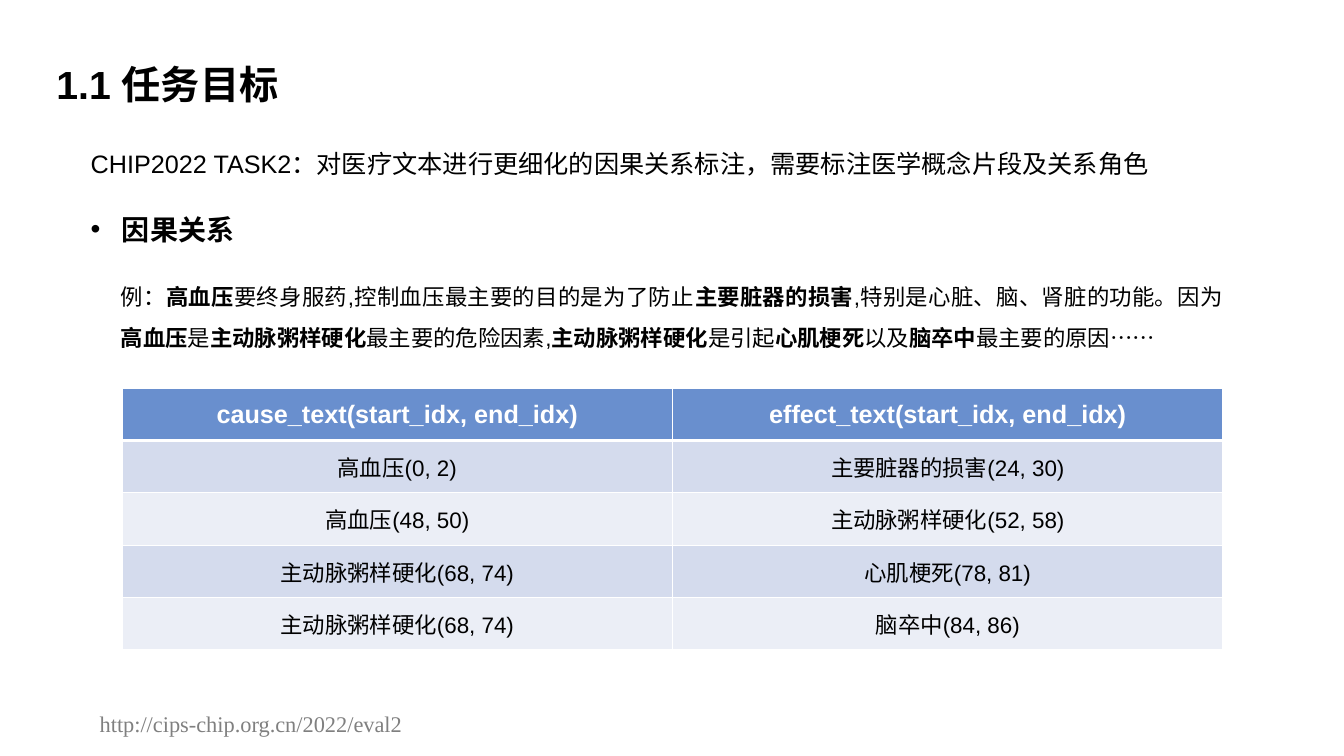
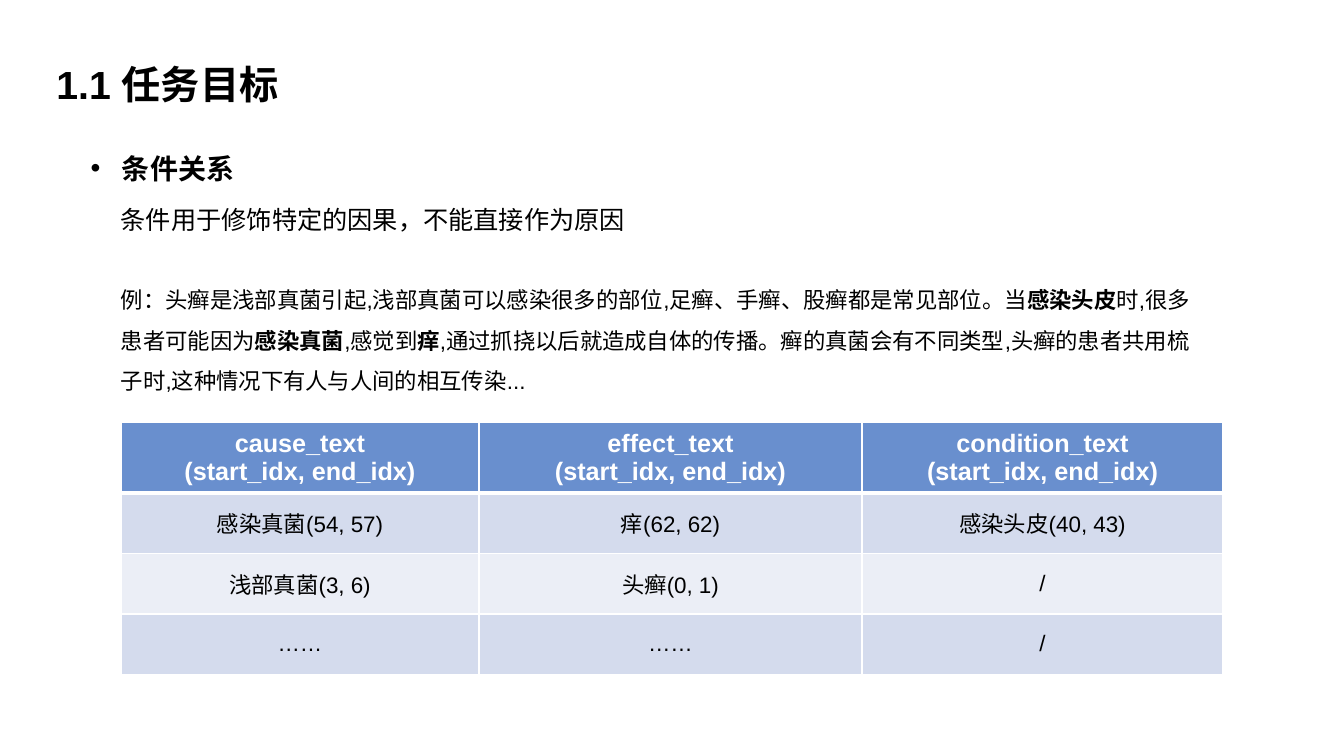
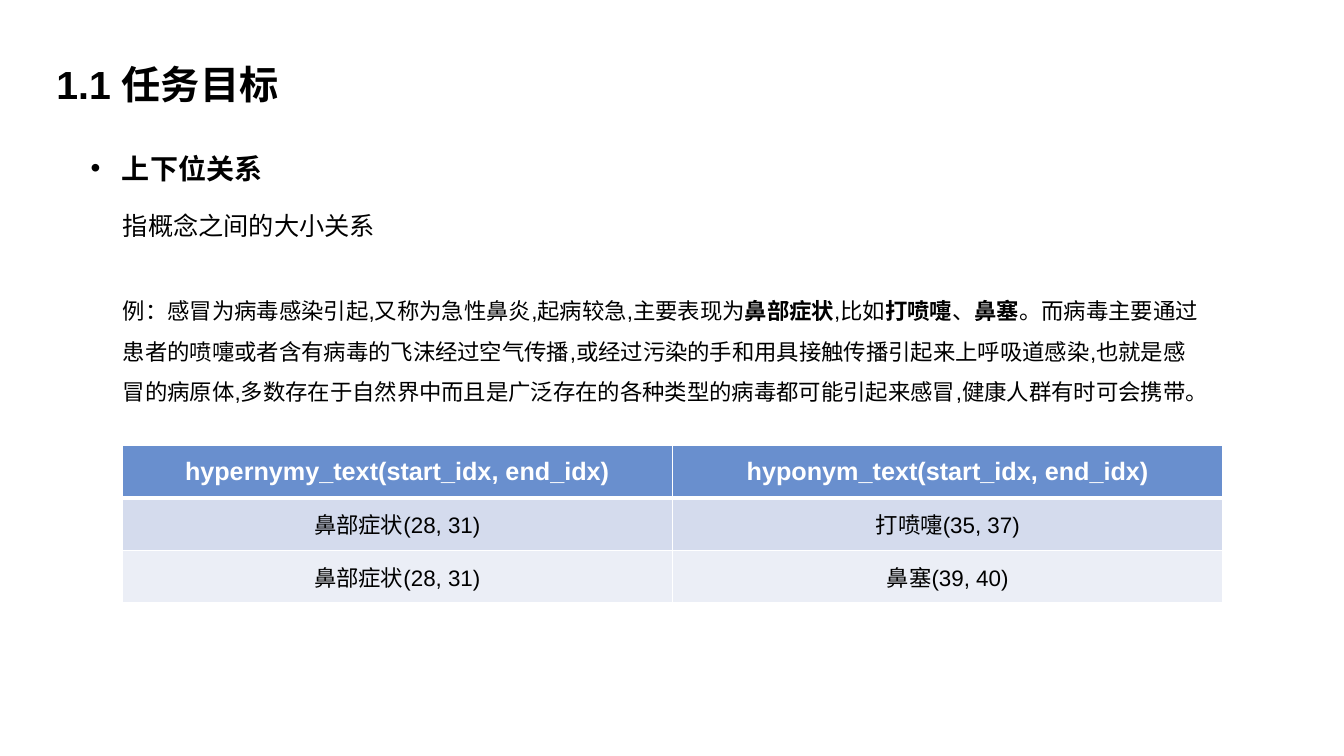
from dataclasses import dataclass

from pptx import Presentation
from pptx.dml.color import RGBColor as Rgb
from pptx.enum.lang import MSO_LANGUAGE_ID as Lang
from pptx.enum.text import MSO_ANCHOR as Anchor, MSO_AUTO_SIZE as Fit, PP_ALIGN as Align
from pptx.oxml import parse_xml
from pptx.oxml.ns import nsdecls
from pptx.util import Inches, Pt


@dataclass(frozen=True)
class Theme:
    ink: str = "000000"
    white: str = "FFFFFF"
    gray: str = "808080"
    head: str = "698FCE"
    bands: tuple = ("D4DBED", "EBEEF6")
    sans: str = "Arial"
    serif: str = "Times New Roman"
    title: int = 28
    topic: int = 20
    lead: int = 18
    small: int = 16
    indent: float = 0.31
    rule: int = 1
    thick: int = 3


T = Theme()
TITLE = "1.1 任务目标"


def write(frame, text, size=T.small, color=T.ink, bold=False, font=T.sans,
          align=Align.LEFT, lines=1.0):
    """Add one paragraph per line of text; words between asterisks are bold."""
    for line in text.split("\n"):
        last = frame.paragraphs[-1]
        para = frame.add_paragraph() if last.runs else last
        para.alignment = align
        para.line_spacing = lines
        para.space_before = para.space_after = Pt(0)
        for i, part in enumerate(line.split("*")):
            if not part:
                continue
            run = para.add_run()
            run.text = part
            style = run.font
            style.name, style.size = font, Pt(size)
            style.bold = bold or i % 2 == 1
            style.color.rgb = Rgb.from_string(color)
            style.language_id = Lang.SIMPLIFIED_CHINESE
    return para


def bullet(para, sign=None):
    """Give a paragraph a hanging bullet, or none and no indent."""
    props = para._p.get_or_add_pPr()
    gap = Inches(T.indent) if sign else 0
    props.set("marL", str(gap))
    props.set("indent", str(-gap))
    if sign:
        props.append(parse_xml(f'<a:buFont {nsdecls("a")} typeface="{T.sans}"/>'))
        props.append(parse_xml(f'<a:buChar {nsdecls("a")} char="{sign}"/>'))
    else:
        props.append(parse_xml(f'<a:buNone {nsdecls("a")}/>'))


def place(shape, box):
    shape.left, shape.top, shape.width, shape.height = map(Inches, box)


def label(slide, box, text, anchor=Anchor.TOP, fit=Fit.NONE, **fmt):
    frame = slide.shapes.add_textbox(*map(Inches, box)).text_frame
    frame.word_wrap = True
    frame.auto_size = fit
    frame.vertical_anchor = anchor
    write(frame, text, **fmt)


def note(slide, box, text):
    label(slide, box, text, lines=1.5, size=T.lead, align=Align.JUSTIFY)


def sample(slide, box, text, align=Align.LEFT):
    label(slide, box, text, fit=Fit.SHAPE_TO_FIT_TEXT, lines=1.5, align=align)


def border(cell, base):
    props = cell._tc.get_or_add_tcPr()
    for side, width in zip("LRTB", (T.rule, T.rule, T.rule, base)):
        props.append(parse_xml(
            f'<a:ln{side} {nsdecls("a")} w="{Pt(width)}"><a:solidFill>'
            f'<a:srgbClr val="{T.white}"/></a:solidFill></a:ln{side}>'))


def grid(slide, spot, cols, rows, data):
    """Draw a table whose first row is the header, at spot (left, top)."""
    size = (sum(cols), sum(rows))
    table = slide.shapes.add_table(
        len(rows), len(cols), *map(Inches, spot + size)).table
    for col, width in zip(table.columns, cols):
        col.width = Inches(width)
    for r, (height, words) in enumerate(zip(rows, data)):
        table.rows[r].height = Inches(height)
        top = r == 0
        fill = T.head if top else T.bands[(r - 1) % 2]
        for c, word in enumerate(words):
            cell = table.cell(r, c)
            cell.vertical_anchor = Anchor.MIDDLE
            border(cell, T.thick if top else T.rule)
            cell.fill.solid()
            cell.fill.fore_color.rgb = Rgb.from_string(fill)
            write(cell.text_frame, word, align=Align.CENTER, bold=top,
                  size=T.lead if top else T.small,
                  color=T.white if top else T.ink)


def start(deck, topic, height, intro=None):
    """Add a slide with the shared title and a bulleted topic."""
    slide = deck.slides.add_slide(deck.slide_layouts[1])
    head, body = slide.placeholders
    place(body, (0.8, 1.12, 11.97, height))
    for shape, anchor in ((head, Anchor.BOTTOM), (body, Anchor.TOP)):
        shape.text_frame.auto_size = Fit.NONE
        shape.text_frame.vertical_anchor = anchor
    write(head.text_frame, TITLE, size=T.title, bold=True, lines=0.9)
    if intro:
        bullet(write(body.text_frame, intro, size=T.lead, lines=2.0))
    bullet(write(body.text_frame, topic, size=T.topic, bold=True, lines=2.0), "•")
    return slide


def cause(deck):
    slide = start(deck, "因果关系", 5.2,
                  "CHIP2022 TASK2：对医疗文本进行更细化的因果关系标注，需要标注医学概念片段及关系角色")
    sample(slide, (1.1, 2.63, 11.13, 0.91),
           "例：*高血压*要终身服药,控制血压最主要的目的是为了防止*主要脏器的损害*"
           ",特别是心脏、脑、肾脏的功能。因为*高血压*是*主动脉粥样硬化*最主要的危险因素,"
           "*主动脉粥样硬化*是引起*心肌梗死*以及*脑卒中*最主要的原因……", Align.JUSTIFY)
    grid(slide, (1.21, 3.85), (5.46,) * 2, (0.52,) * 5, (
        ("cause_text(start_idx, end_idx)", "effect_text(start_idx, end_idx)"),
        ("高血压(0, 2)", "主要脏器的损害(24, 30)"),
        ("高血压(48, 50)", "主动脉粥样硬化(52, 58)"),
        ("主动脉粥样硬化(68, 74)", "心肌梗死(78, 81)"),
        ("主动脉粥样硬化(68, 74)", "脑卒中(84, 86)")))
    label(slide, (0.89, 6.97, 12.09, 0.41), "http://cips-chip.org.cn/2022/eval2",
          anchor=Anchor.MIDDLE, font=T.serif, color=T.gray)


def term(deck):
    slide = start(deck, "条件关系", 2.42)
    note(slide, (1.1, 1.83, 11.13, 0.62), "条件用于修饰特定的因果，不能直接作为原因")
    sample(slide, (1.1, 2.66, 10.89, 1.31),
           "例：头癣是浅部真菌引起,浅部真菌可以感染很多的部位,足癣、手癣、股癣都是常见部位。"
           "当*感染头皮*时,很多患者可能因为*感染真菌*,感觉到*痒*,通过抓挠以后就造成自体的传播。"
           "癣的真菌会有不同类型,头癣的患者共用梳子时,这种情况下有人与人间的相互传染...")
    heads = tuple(f"{name}_text\n(start_idx, end_idx)"
                  for name in ("cause", "effect", "condition"))
    grid(slide, (1.2, 4.19), (3.55, 3.8, 3.58), (0.7, 0.6, 0.6, 0.6), (
        heads,
        ("感染真菌(54, 57)", "痒(62, 62)", "感染头皮(40, 43)"),
        ("浅部真菌(3, 6)", "头癣(0, 1)", "/"),
        ("……", "……", "/")))


def rank(deck):
    slide = start(deck, "上下位关系", 1.28)
    note(slide, (1.12, 1.89, 11.13, 0.62), "指概念之间的大小关系")
    sample(slide, (1.12, 2.77, 10.89, 1.31),
           "例：感冒为病毒感染引起,又称为急性鼻炎,起病较急,主要表现为*鼻部症状*,比如*打喷嚏*、*鼻塞*。"
           "而病毒主要通过患者的喷嚏或者含有病毒的飞沫经过空气传播,"
           "或经过污染的手和用具接触传播引起来上呼吸道感染,也就是感冒的病原体,"
           "多数存在于自然界中而且是广泛存在的各种类型的病毒都可能引起来感冒,健康人群有时可会携带。")
    grid(slide, (1.21, 4.42), (5.46,) * 2, (0.52,) * 3, (
        ("hypernymy_text(start_idx, end_idx)", "hyponym_text(start_idx, end_idx)"),
        ("鼻部症状(28, 31)", "打喷嚏(35, 37)"),
        ("鼻部症状(28, 31)", "鼻塞(39, 40)")))


def main():
    deck = Presentation()
    deck.slide_width, deck.slide_height = Inches(13.33), Inches(7.5)
    place(deck.slide_layouts[1].placeholders[0], (0.46, 0, 11.87, 1.12))
    for build in (cause, term, rank):
        build(deck)
    deck.save("out.pptx")


if __name__ == "__main__":
    main()
